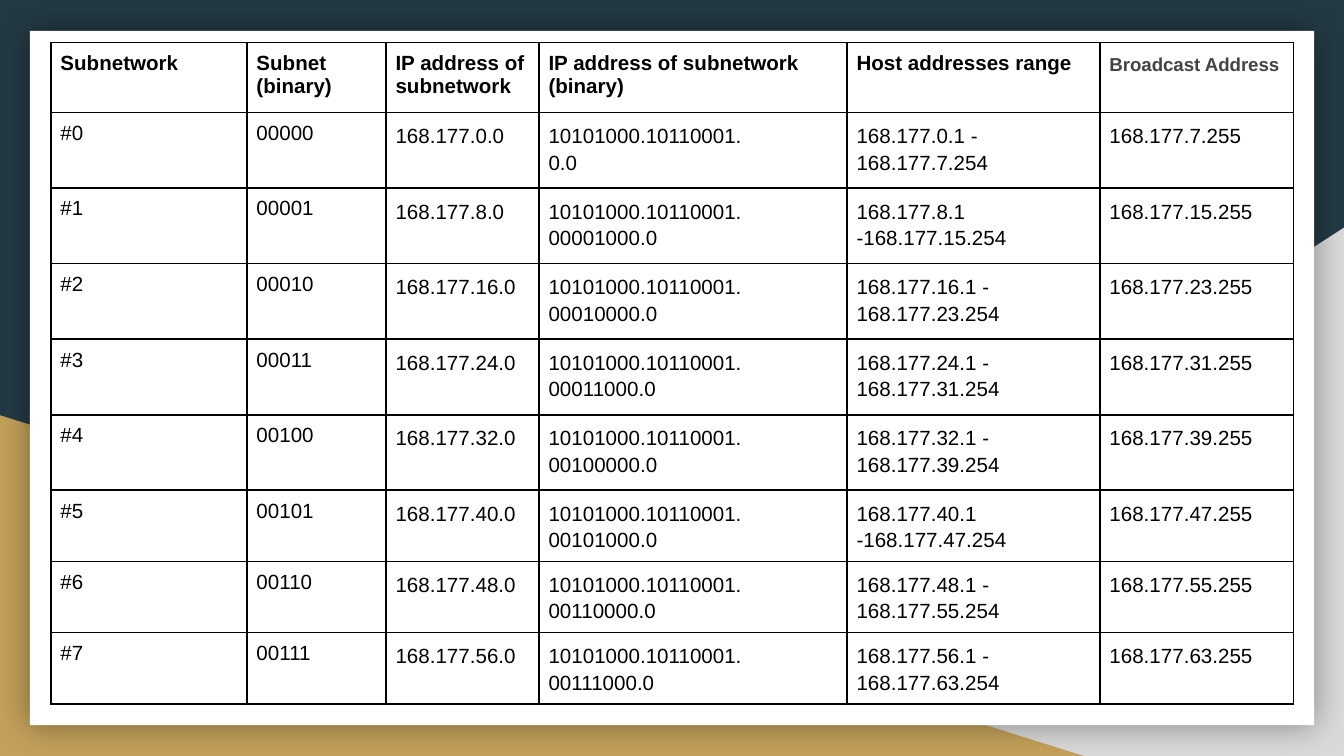
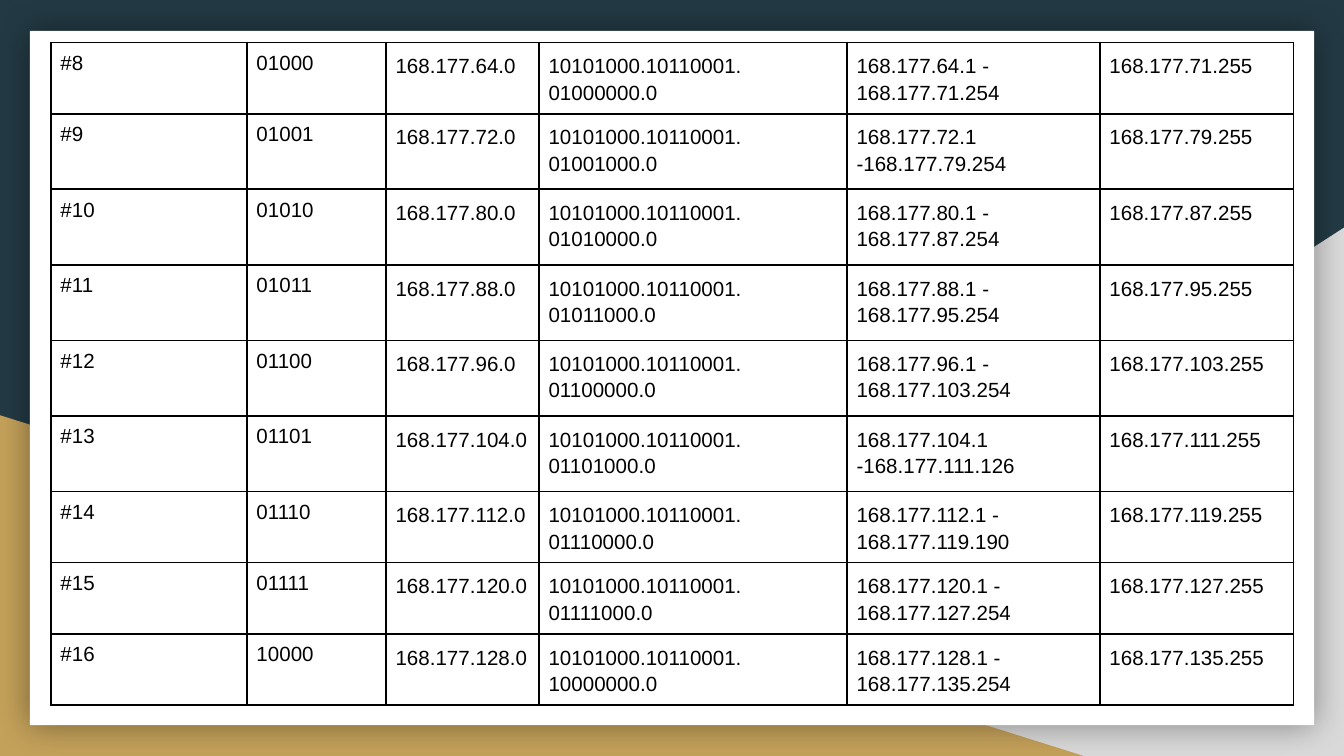
import pptx
import pptx.util
import pptx.dml.color
import pptx.enum.shapes
import pptx.oxml
import pptx.oxml.ns
from lxml import etree

Pt = pptx.util.Pt
qn = pptx.oxml.ns.qn
SHAPES = pptx.enum.shapes.MSO_SHAPE

COLOURS = {
    "night": "233A44",
    "grey": "D9D9D9",
    "gold": "C4A15A",
    "white": "FFFFFF",
    "black": "000000",
    "heading": "444444",
}
FONT = "Arial"
WIDTH, HEIGHT = 720, 405
COLUMNS = [105, 74.5, 82, 165, 135.5, 103.5]
ROWS = [37.5] + [40.5] * 5 + [31.75] * 3
INSET = 5
LOOSE = 1.15

HEADINGS = [
    ["Subnetwork"],
    ["Subnet", "(binary)"],
    ["IP address of subnetwork"],
    ["IP address of subnetwork (binary)"],
    ["Host addresses range"],
    ["Broadcast Address"],
]
# Last hosts that differ from the usual .254
LAST_HOSTS = {13: 126, 14: 190}


def colour(name):
    return pptx.dml.color.RGBColor.from_string(COLOURS[name])


def add_block(page, kind, left, top, width, height, fill):
    block = page.shapes.add_shape(kind, Pt(left), Pt(top), Pt(width), Pt(height))
    block.shadow.inherit = False
    block.fill.solid()
    block.fill.fore_color.rgb = colour(fill)
    block.line.fill.background()
    return block


def add_glow(block):
    effects = block._element.spPr.find(qn("a:effectLst"))
    shadow = etree.SubElement(effects, qn("a:outerShdw"), blurRad=str(Pt(18)),
                              dist="0", dir="0", algn="ctr", rotWithShape="0")
    tint = etree.SubElement(shadow, qn("a:srgbClr"), val=COLOURS["black"])
    etree.SubElement(tint, qn("a:alpha"), val="40000")


def add_page(deck):
    """Dark page with two corner wedges and a white panel."""
    page = deck.slides.add_slide(deck.slide_layouts[6])
    page.background.fill.solid()
    page.background.fill.fore_color.rgb = colour("night")
    wedge = add_block(page, SHAPES.RIGHT_TRIANGLE, 282, 122, 438, HEIGHT - 122, "grey")
    wedge._element.spPr.find(qn("a:xfrm")).set("flipH", "1")
    add_block(page, SHAPES.RIGHT_TRIANGLE, 0, 222.5, 580.5, HEIGHT - 222.5, "gold")
    add_glow(add_block(page, SHAPES.RECTANGLE, 16, 16.5, 688, 372, "white"))
    return page


def set_borders(cell):
    properties = cell._tc.get_or_add_tcPr()
    for side in ("lnL", "lnR", "lnT", "lnB"):
        line = etree.SubElement(properties, qn("a:" + side), w=str(Pt(1)))
        fill = etree.SubElement(line, qn("a:solidFill"))
        etree.SubElement(fill, qn("a:srgbClr"), val=COLOURS["black"])


def fill_cell(cell, lines, size=11, bold=False, ink="black", spacing=None, highlight=None):
    set_borders(cell)
    cell.fill.background()
    cell.margin_left = cell.margin_right = Pt(INSET)
    cell.margin_top = cell.margin_bottom = Pt(INSET)
    for index, line in enumerate(lines):
        frame = cell.text_frame
        para = frame.paragraphs[0] if index == 0 else frame.add_paragraph()
        if spacing:
            para.line_spacing = spacing
        span = para.add_run()
        span.text = line
        span.font.size = Pt(size)
        span.font.bold = bold
        span.font.color.rgb = colour(ink)
        if highlight:
            marker = etree.SubElement(span.font._element, qn("a:highlight"))
            etree.SubElement(marker, qn("a:srgbClr"), val=COLOURS[highlight])
        span.font.name = FONT


def subnet_texts(number):
    """Texts of one row: each subnet spans eight values of the third octet."""
    first, last = number * 8, number * 8 + 7
    dash = " -" if number % 4 == 1 else " - "
    octet = f"{first:08b}" if first else "0"
    host = LAST_HOSTS.get(number, 254)
    return [
        [f"#{number}"],
        [f"{number:05b}"],
        [f"168.177.{first}.0"],
        ["10101000.10110001.", f"{octet}.0"],
        [f"168.177.{first}.1{dash}168.177.{last}.{host}"],
        [f"168.177.{last}.255"],
    ]


def add_subnet_table(page, numbers, headed=False):
    frame = page.shapes.add_table(len(ROWS), len(COLUMNS), Pt(27.4), Pt(22.8),
                                  Pt(sum(COLUMNS)), Pt(sum(ROWS)))
    table = frame.table
    table.first_row = table.horz_banding = False
    for column, width in zip(table.columns, COLUMNS):
        column.width = Pt(width)
    for row, height in zip(table.rows, ROWS):
        row.height = Pt(height)

    # Heading row
    if headed:
        for index, lines in enumerate(HEADINGS[:-1]):
            fill_cell(table.cell(0, index), lines, bold=True)
        fill_cell(table.cell(0, len(HEADINGS) - 1), HEADINGS[-1], size=10, bold=True,
                  ink="heading", spacing=LOOSE, highlight="white")

    # Subnet rows
    for row, number in enumerate(numbers, start=int(headed)):
        for index, lines in enumerate(subnet_texts(number)):
            fill_cell(table.cell(row, index), lines, spacing=LOOSE if index > 1 else None)


def main():
    deck = pptx.Presentation()
    deck.slide_width, deck.slide_height = Pt(WIDTH), Pt(HEIGHT)
    add_subnet_table(add_page(deck), range(8), headed=True)
    add_subnet_table(add_page(deck), range(8, 17))
    deck.save("out.pptx")


main()
